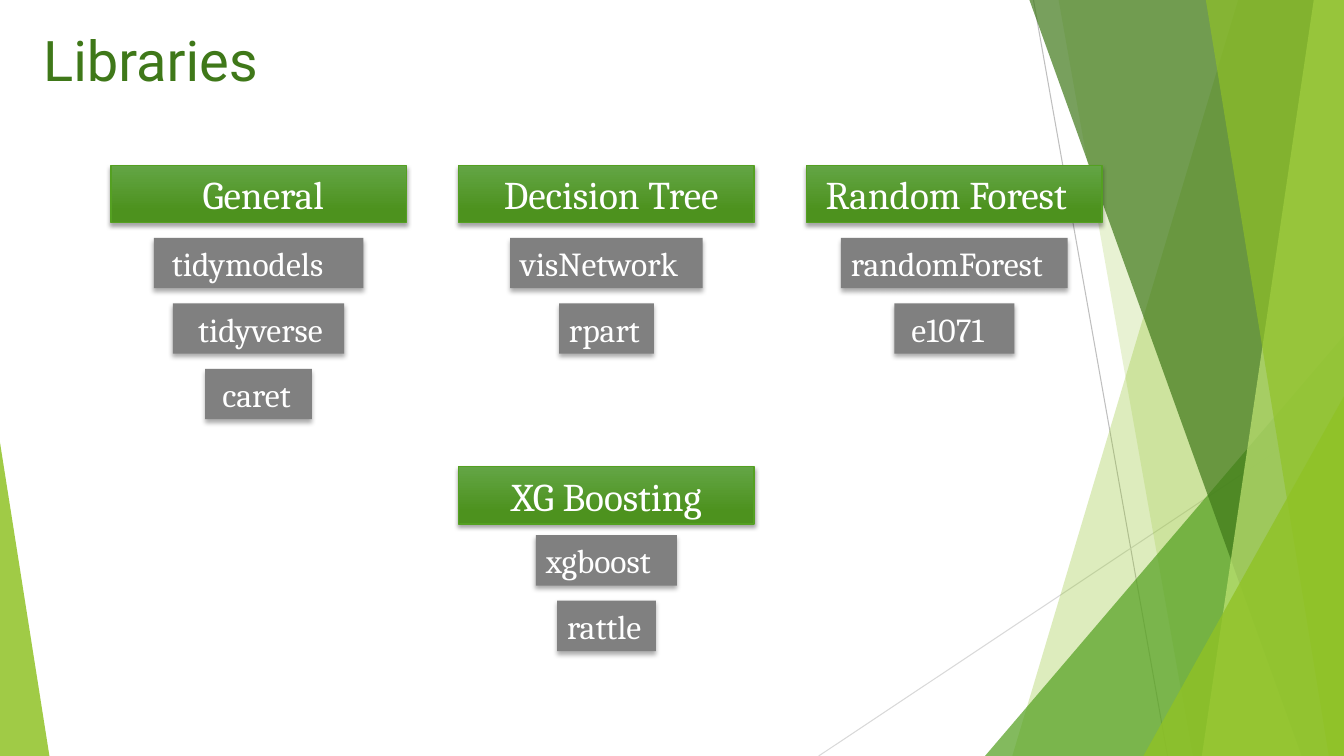
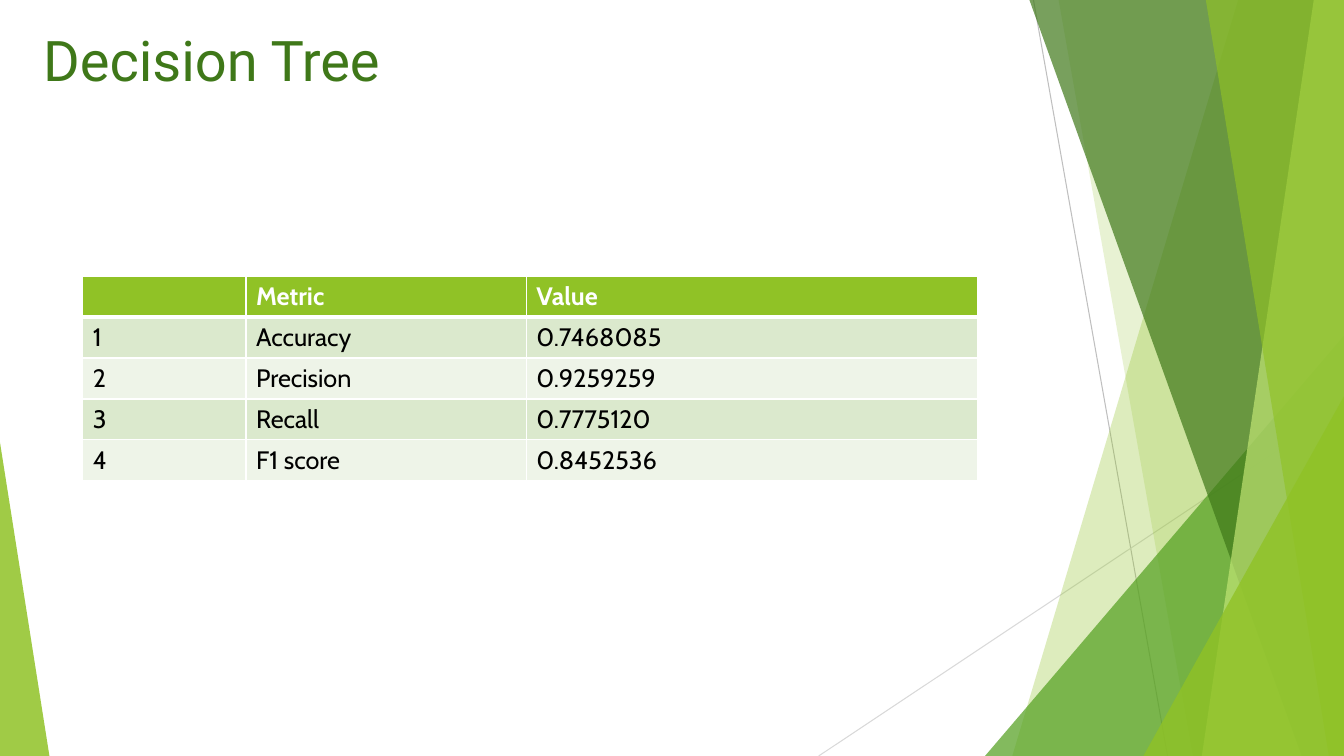
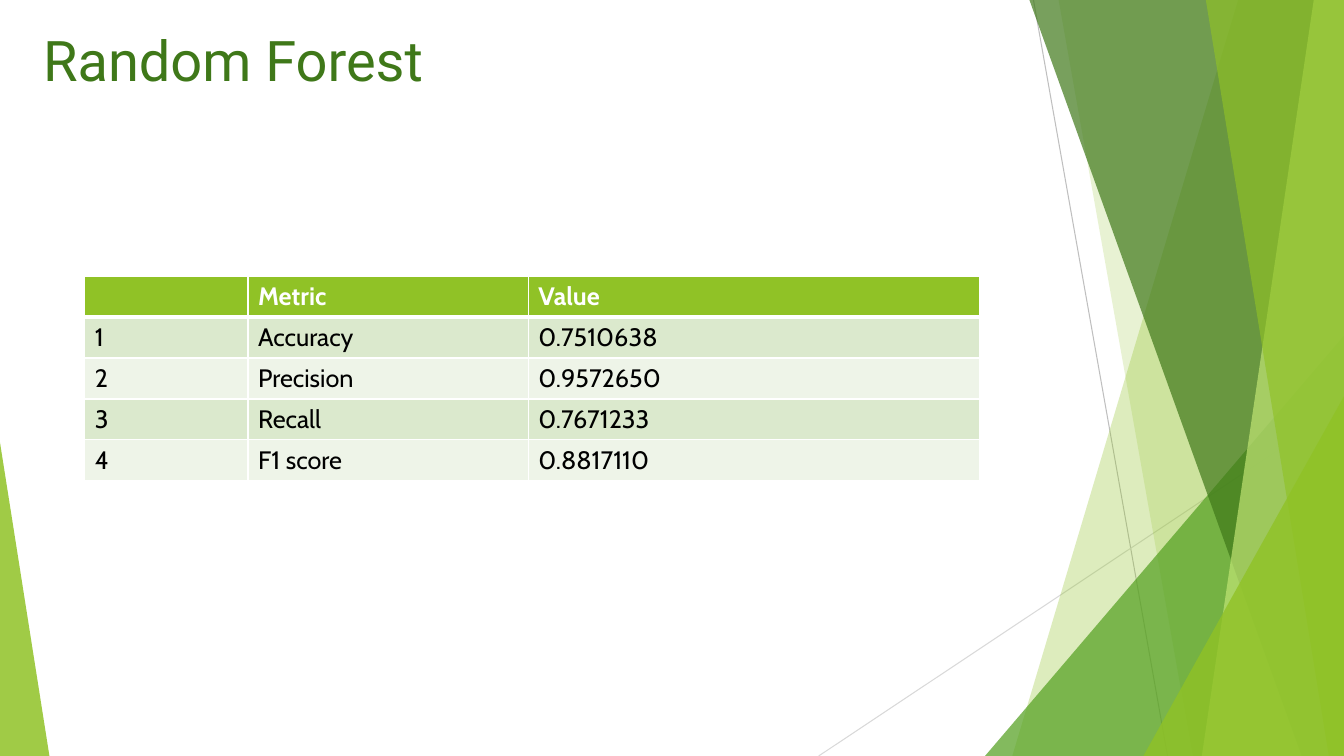
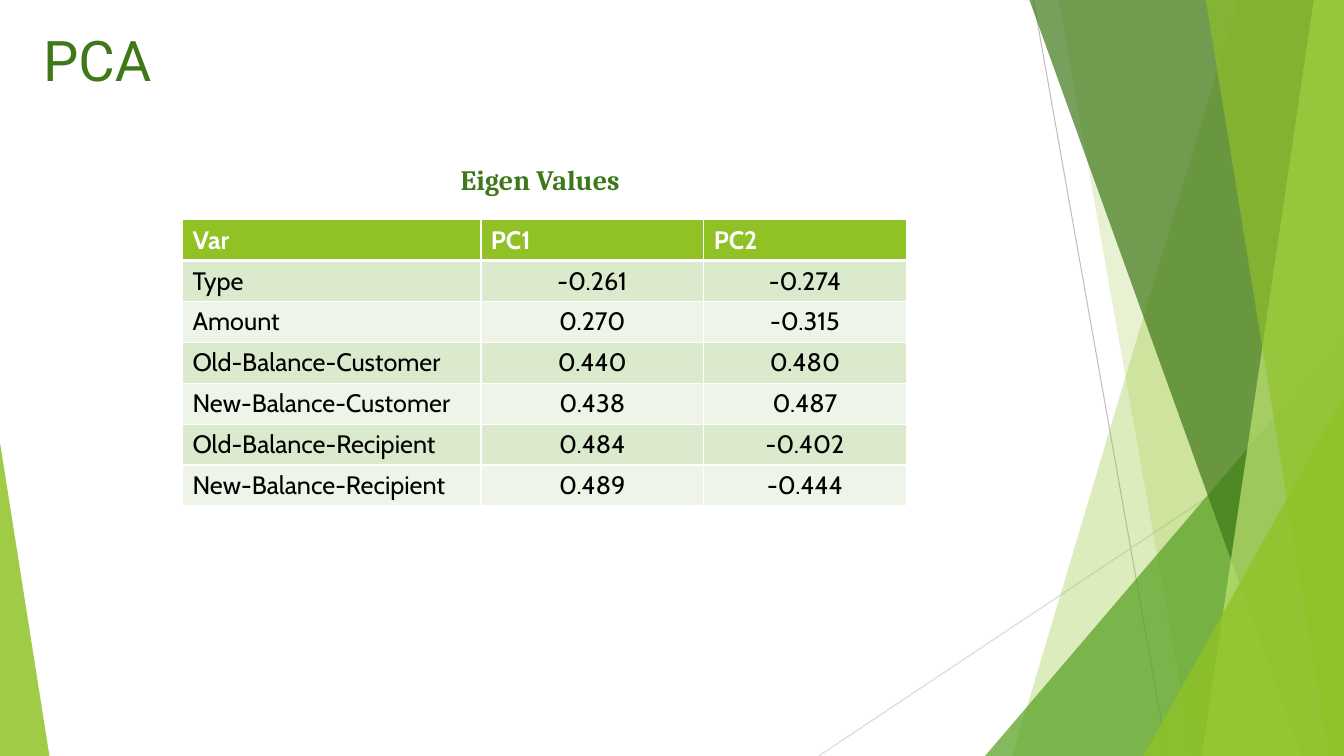
"""Build four slides on libraries, model metrics and PCA in one green theme."""
from lxml.etree import SubElement
from pptx import Presentation
from pptx.dml.color import RGBColor
from pptx.enum.shapes import MSO_CONNECTOR as CONNECTOR, MSO_SHAPE as SHAPE
from pptx.enum.text import MSO_ANCHOR as ANCHOR, PP_ALIGN as ALIGN
from pptx.oxml.ns import qn
from pptx.util import Inches, Pt

COLORS = {
    "lime": "90C226", "pale_lime": "C0E474", "green": "54A021", "forest": "3F7819",
    "head_top": "63A545", "head_bottom": "4D921E", "tag": "808080",
    "row_odd": "DBE9CD", "row_even": "EEF4E8",
    "steep_line": "BFBFBF", "slanted_line": "D9D9D9",
    "white": "FFFFFF", "black": "000000",
}
WIDTH, HEIGHT = 13.33, 7.5
TITLE_FONT, BODY_FONT, TABLE_FONT = "Roboto", "Cambria", "Cabin"
INSET = 0.1
COLUMN_LEFT, COLUMN_PITCH, HEAD_WIDTH = 1.1, 3.45, 2.93
TAG_PITCH = 0.65

LIBRARIES = [
    (0, 1.64, 0.72, "General", ALIGN.CENTER, 0.09,
     [("tidymodels", 2.08, 0.08), ("tidyverse", 1.7, 0.15), ("caret", 1.06, 0.07)]),
    (1, 1.64, 0.72, "Decision Tree", ALIGN.CENTER, 0.09,
     [("visNetwork", 1.91, 0), ("rpart", 0.94, 0)]),
    (2, 1.64, 0.72, "Random Forest", ALIGN.LEFT, 0.09,
     [("randomForest", 2.25, 0), ("e1071", 1.19, 0.07)]),
    (1, 4.63, 0.68, "XG Boosting", ALIGN.CENTER, 0,
     [("xgboost", 1.4, 0), ("rattle", 0.98, 0)]),
]
METRICS = ["Accuracy", "Precision", "Recall", "F1 score"]
MODELS = [
    ("Decision Tree", 0.82, ["0.7468085", "0.9259259", "0.7775120", "0.8452536"]),
    ("Random Forest", 0.84, ["0.7510638", "0.9572650", "0.7671233", "0.8817110"]),
]
EIGEN_VALUES = [
    ("Var", "PC1", "PC2"),
    ("Type", "-0.261", "-0.274"),
    ("Amount", "0.270", "-0.315"),
    ("Old-Balance-Customer", "0.440", "0.480"),
    ("New-Balance-Customer", "0.438", "0.487"),
    ("Old-Balance-Recipient", "0.484", "-0.402"),
    ("New-Balance-Recipient", "0.489", "-0.444"),
]


def color(name):
    return RGBColor.from_string(COLORS[name])


def write(frame, text, font, size, ink, bold=False, align=ALIGN.LEFT):
    paragraph = frame.paragraphs[0]
    paragraph.text = text
    paragraph.alignment = align
    paragraph.font.name = font
    paragraph.font.size = Pt(size)
    paragraph.font.bold = bold
    paragraph.font.color.rgb = color(ink)


def add_label(slide, left, top, width, height, text, font, size, bold=False):
    label = slide.shapes.add_textbox(*map(Inches, (left, top, width, height)))
    label.text_frame.word_wrap = True
    write(label.text_frame, text, font, size, "forest", bold)


def tint(shape, ink, opacity):
    shape.shadow.inherit = False
    shape.line.fill.background()
    shape.fill.solid()
    shape.fill.fore_color.rgb = color(ink)
    rgb = shape.element.spPr.find(".//" + qn("a:srgbClr"))
    SubElement(rgb, qn("a:alpha"), val=str(opacity * 1000))


def add_ray(slide, start, end, ink):
    ray = slide.shapes.add_connector(CONNECTOR.STRAIGHT, *map(Inches, start + end))
    ray.line.color.rgb = color(ink)
    ray.line.width = Pt(0.75)
    SubElement(ray.element.spPr, qn("a:effectLst"))


def add_band(slide, top_x, bottom_x, ink, opacity):
    outline = slide.shapes.build_freeform(Inches(top_x), 0)
    corners = [(WIDTH, 0), (WIDTH, HEIGHT), (bottom_x, HEIGHT)]
    outline.add_line_segments([(Inches(x), Inches(y)) for x, y in corners])
    tint(outline.convert_to_shape(), ink, opacity)


def add_wedge(slide, left, top, width, apex, ink, opacity):
    wedge = slide.shapes.add_shape(
        SHAPE.ISOSCELES_TRIANGLE, *map(Inches, (left, top, width, HEIGHT - top)))
    wedge.adjustments[0] = apex
    tint(wedge, ink, opacity)


def draw_backdrop(slide):
    add_ray(slide, (10.25, 0), (11.58, HEIGHT), "steep_line")
    add_ray(slide, (WIDTH, 4.03), (8.12, HEIGHT), "slanted_line")
    add_band(slide, 12.28, 10.04, "lime", 30)
    add_band(slide, 10.5, 11.83, "lime", 20)
    add_wedge(slide, 9.77, 3.33, 3.56, 1, "green", 72)
    add_band(slide, 10.21, 12.91, "forest", 70)
    add_band(slide, 13.03, 11.92, "pale_lime", 70)
    add_band(slide, 11.96, 13.18, "lime", 65)
    add_wedge(slide, 11.34, 3.93, 1.99, 1, "lime", 80)
    add_wedge(slide, 0, 4.39, 0.49, 0, "lime", 85)


def share_backdrop(slide):
    layout = slide.slide_layout
    for placeholder in list(layout.placeholders):
        layout.shapes.element.remove(placeholder.element)
    draw_backdrop(slide)
    for part in list(slide.shapes):
        layout.shapes.element.append(part.element)


def add_titled_slide(deck, title):
    slide = deck.slides.add_slide(deck.slide_layouts[6])
    if len(deck.slides) == 1:
        share_backdrop(slide)
    add_label(slide, 0.33, 0.2, 6.68, 0.77, title, TITLE_FONT, 40)
    return slide


def cast_shadow(shape, opacity, blur, distance):
    shape.shadow.inherit = False
    effects = shape.element.spPr.find(qn("a:effectLst"))
    shadow = SubElement(effects, qn("a:outerShdw"), blurRad=str(Pt(blur)),
                        dist=str(Pt(distance)), dir="5400000", rotWithShape="0")
    rgb = SubElement(shadow, qn("a:srgbClr"), val=COLORS["black"])
    SubElement(rgb, qn("a:alpha"), val=str(opacity * 1000))


def add_box(slide, center, top, width, height, text, size, indent, align=ALIGN.LEFT):
    box = slide.shapes.add_shape(
        SHAPE.RECTANGLE, *map(Inches, (center - width / 2, top, width, height)))
    frame = box.text_frame
    frame.word_wrap = True
    frame.vertical_anchor = ANCHOR.MIDDLE
    frame.margin_left = Inches(INSET + indent)
    write(frame, text, BODY_FONT, size, "white", align=align)
    return box


def add_head(slide, center, top, text, align, indent):
    head = add_box(slide, center, top, HEAD_WIDTH, 0.57, text, 28, indent, align)
    head.fill.gradient()
    head.fill.gradient_angle = 270
    upper, lower = head.fill.gradient_stops
    upper.color.rgb, upper.position = color("head_top"), 0
    lower.color.rgb, lower.position = color("head_bottom"), 0.78
    head.line.color.rgb = color("green")
    head.line.width = Pt(1)
    cast_shadow(head, 35, 3, 2)


def add_tag(slide, center, top, text, width, indent):
    tag = add_box(slide, center, top, width, 0.5, text, 24, indent)
    tag.fill.solid()
    tag.fill.fore_color.rgb = color("tag")
    tag.line.fill.background()
    cast_shadow(tag, 32, 3.5, 2.2)


def add_library_group(slide, column, top, drop, name, align, indent, packages):
    center = COLUMN_LEFT + column * COLUMN_PITCH + HEAD_WIDTH / 2
    add_head(slide, center, top, name, align, indent)
    for i, (package, width, package_indent) in enumerate(packages):
        add_tag(slide, center, top + drop + i * TAG_PITCH, package, width, package_indent)


def rule_cell(cell, row):
    widths = {"lnL": 1, "lnR": 1, "lnT": 3 if row == 1 else 1, "lnB": 3 if row == 0 else 1}
    properties = cell._tc.get_or_add_tcPr()
    for side, points in widths.items():
        border = SubElement(properties, qn(f"a:{side}"), w=str(Pt(points)))
        SubElement(SubElement(border, qn("a:solidFill")), qn("a:srgbClr"), val=COLORS["white"])


def add_grid(slide, left, top, height, widths, rows, value_align=ALIGN.LEFT):
    grid = slide.shapes.add_table(
        len(rows), len(widths), *map(Inches, (left, top, sum(widths), height))).table
    grid.horz_banding = False
    for column, width in zip(grid.columns, widths):
        column.width = Inches(width)
    for r, row in enumerate(rows):
        heading = r == 0
        band = "lime" if heading else "row_odd" if r % 2 else "row_even"
        for c, text in enumerate(row):
            cell = grid.cell(r, c)
            rule_cell(cell, r)
            cell.fill.solid()
            cell.fill.fore_color.rgb = color(band)
            align = ALIGN.LEFT if heading or c == 0 else value_align
            write(cell.text_frame, text, TABLE_FONT, 18,
                  "white" if heading else "black", heading, align)


def main():
    deck = Presentation()
    deck.slide_width, deck.slide_height = Inches(WIDTH), Inches(HEIGHT)

    libraries = add_titled_slide(deck, "Libraries")
    for group in LIBRARIES:
        add_library_group(libraries, *group)

    for model, left, values in MODELS:
        rows = [("", "Metric", "Value")]
        rows += [(str(i), *pair) for i, pair in enumerate(zip(METRICS, values), 1)]
        add_grid(add_titled_slide(deck, model), left, 2.74, 2.03, [1.62, 2.78, 4.48], rows)

    pca = add_titled_slide(deck, "PCA")
    add_label(pca, 4.47, 1.56, 1.85, 0.44, "Eigen Values", BODY_FONT, 20, True)
    add_grid(pca, 1.81, 2.18, 2.84, [2.96, 2.21, 2.01], EIGEN_VALUES, ALIGN.CENTER)

    deck.save("out.pptx")


if __name__ == "__main__":
    main()
